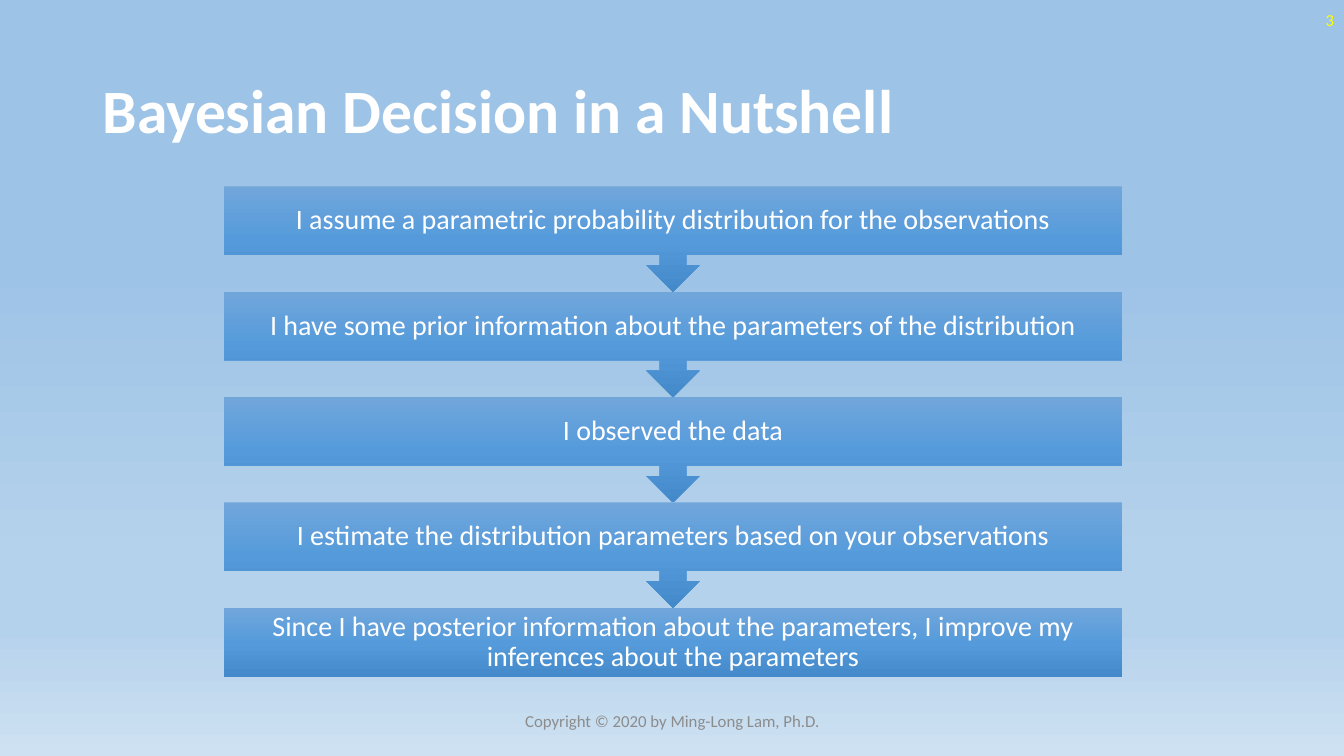
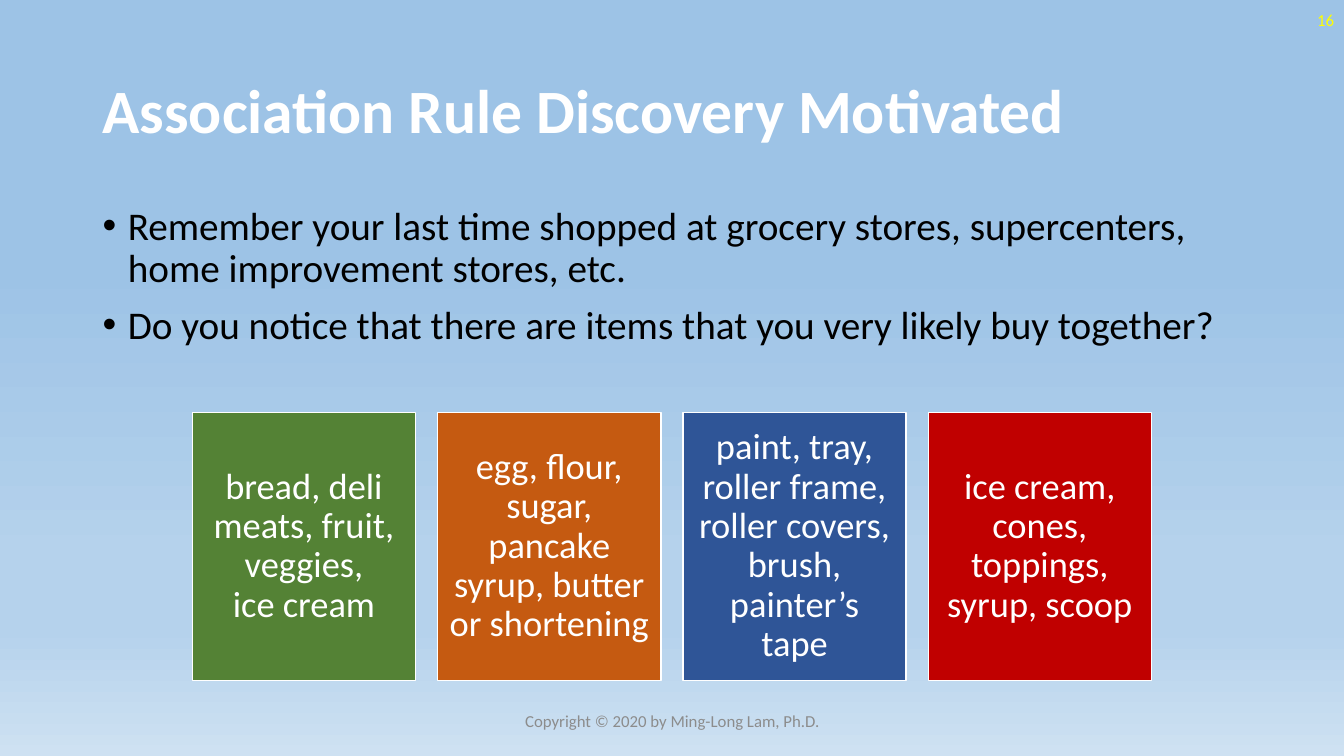
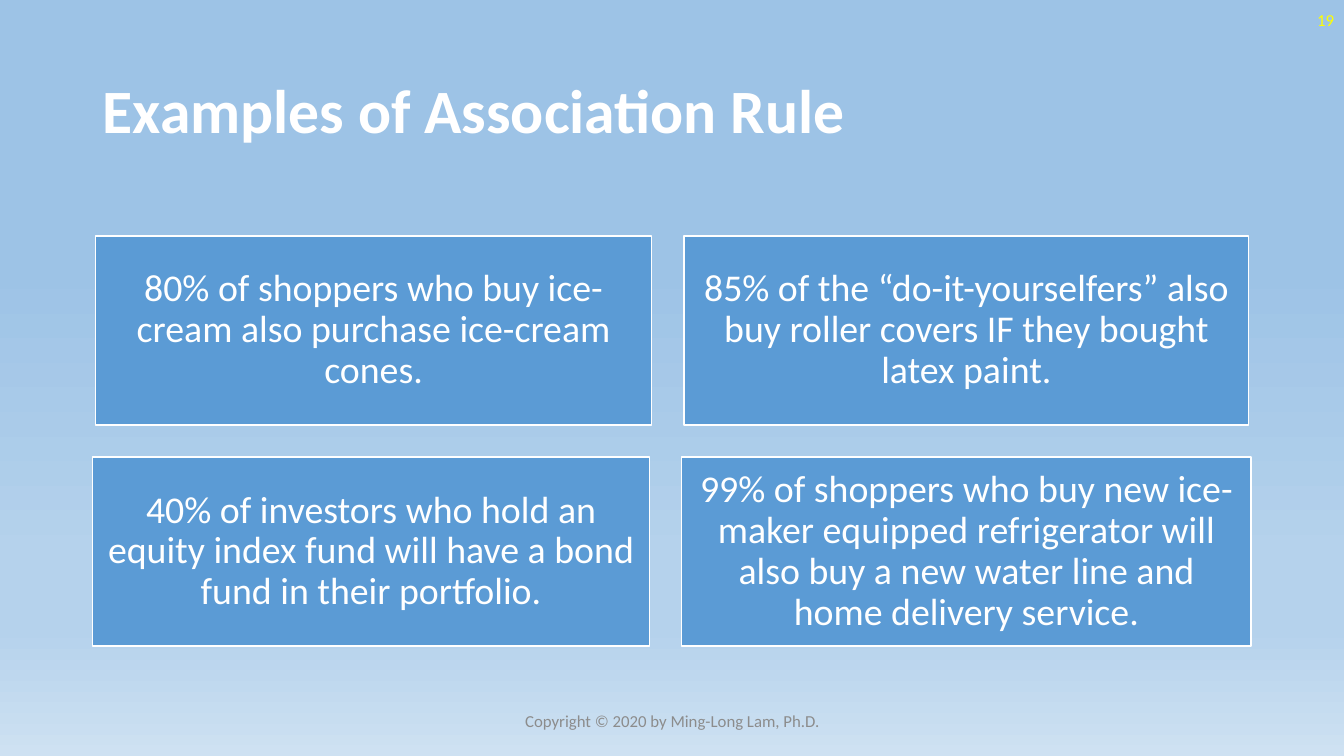
import dataclasses

import lxml.etree
import pptx
import pptx.dml.color
import pptx.enum.shapes
import pptx.enum.text
import pptx.oxml.ns
import pptx.util

ALIGN = pptx.enum.text.PP_ALIGN
ANCHOR = pptx.enum.text.MSO_ANCHOR
SHAPE = pptx.enum.shapes.MSO_SHAPE
qn = pptx.oxml.ns.qn


@dataclasses.dataclass(frozen=True)
class Theme:
    """Colours, type sizes and spacing shared by all slides."""
    font: str = "Calibri"
    white: str = "FFFFFF"
    black: str = "000000"
    number: str = "FFFF00"
    footer: str = "8C8C8C"
    blue: str = "5B9BD5"
    basket_fills: tuple = ("548235", "C55A11", "2F5597", "C00000")
    sky: tuple = ((35, "9DC3E6"), (74, "B5D2EC"), (83, "B5D2EC"), (100, "CEE1F2"))
    step_fill: tuple = ((0, "71A6DB"), (50, "559BDB"), (100, "448ACA"))
    title_size: int = 44
    body_size: int = 28
    example_size: int = 27
    basket_size: int = 26
    step_size: int = 20
    small_size: int = 12
    line_spacing: float = 0.9


@dataclasses.dataclass(frozen=True)
class Box:
    """A rectangle in inches."""
    left: float
    top: float
    width: float
    height: float

    def emu(self):
        """Return the four lengths for python-pptx."""
        return [pptx.util.Inches(v) for v in dataclasses.astuple(self)]

    def columns(self, count, gap):
        """Split into equal columns."""
        width = (self.width - gap * (count - 1)) / count
        return [Box(self.left + i * (width + gap), self.top, width, self.height)
                for i in range(count)]

    def rows(self, count, gap):
        """Split into equal rows."""
        height = (self.height - gap * (count - 1)) / count
        return [Box(self.left, self.top + i * (height + gap), self.width, height)
                for i in range(count)]


THEME = Theme()
PAGE = Box(0, 0, 13.33, 7.5)
TITLE = Box(0.92, 0.4, 11.5, 1.45)
BODY = Box(0.92, 2, 11.5, 4.76)
NUMBER = Box(10.33, 0, 3, 0.4)
FOOTER = Box(4.42, 6.95, 4.5, 0.4)
STEPS = Box(2.22, 1.85, 8.91, 4.87)
BASKETS = Box(1.91, 4.09, 9.51, 2.66)
EXAMPLES = Box(0.92, 2.34, 11.49, 4.07)
COPYRIGHT = "Copyright © 2020 by Ming-Long Lam, Ph.D."


def rgb(value):
    """Turn RRGGBB into a colour."""
    return pptx.dml.color.RGBColor.from_string(value)


def paint_gradient(fill, element, stops):
    """Give a fill a top-to-bottom gradient with any number of stops."""
    fill.gradient()
    fill.gradient_angle = 270
    stop_list = element.find(".//" + qn("a:gsLst"))
    for old_stop in list(stop_list):
        stop_list.remove(old_stop)
    for percent, colour in stops:
        stop = lxml.etree.SubElement(stop_list, qn("a:gs"), pos=str(percent * 1000))
        lxml.etree.SubElement(stop, qn("a:srgbClr"), val=colour)


def write(shape, text, size, colour, align=ALIGN.LEFT, anchor=ANCHOR.MIDDLE,
          bold=False, inset=None, spacing=None):
    """Set and format the text of a shape."""
    frame = shape.text_frame
    frame.text = text
    frame.word_wrap = True
    frame.vertical_anchor = anchor
    if inset is not None:
        frame.margin_left = frame.margin_right = pptx.util.Inches(inset)
        frame.margin_top = frame.margin_bottom = pptx.util.Inches(inset)
    for paragraph in frame.paragraphs:
        paragraph.alignment = align
        paragraph.line_spacing = spacing
        for run in paragraph.runs:
            run.font.name = THEME.font
            run.font.size = pptx.util.Pt(size)
            run.font.bold = bold
            run.font.color.rgb = rgb(colour)
    return frame


def add_label(slide, box, text, size, colour, **style):
    """Add a text box."""
    return write(slide.shapes.add_textbox(*box.emu()), text, size, colour, **style)


def add_tile(slide, box, text, size, inset, kind=SHAPE.RECTANGLE):
    """Add a preset shape with centred white text."""
    tile = slide.shapes.add_shape(kind, *box.emu())
    tile.shadow.inherit = False
    write(tile, text, size, THEME.white, align=ALIGN.CENTER, inset=inset,
          spacing=THEME.line_spacing)
    return tile


def add_flat_tile(slide, box, text, size, colour):
    """Add a solid tile with a thin white outline."""
    tile = add_tile(slide, box, text, size, 0.11)
    tile.fill.solid()
    tile.fill.fore_color.rgb = rgb(colour)
    tile.line.color.rgb = rgb(THEME.white)
    tile.line.width = pptx.util.Pt(1)


def add_page(deck, title, number):
    """Add a slide with background, title, number and footer."""
    slide = deck.slides.add_slide(deck.slide_layouts[6])
    paint_gradient(slide.background.fill, slide.element, THEME.sky)
    add_label(slide, TITLE, title, THEME.title_size, THEME.white, bold=True,
              spacing=THEME.line_spacing)
    add_label(slide, NUMBER, str(number), THEME.small_size, THEME.number,
              align=ALIGN.RIGHT)
    add_label(slide, FOOTER, COPYRIGHT, THEME.small_size, THEME.footer,
              align=ALIGN.CENTER)
    return slide


def add_steps(slide, box, steps, last_height=0.69):
    """Stack arrow callouts that end in a plain rectangle."""
    pitch = (box.height - last_height) / (len(steps) - 1)
    for i, text in enumerate(steps):
        is_last = i == len(steps) - 1
        place = Box(box.left, box.top + i * pitch, box.width,
                    last_height if is_last else pitch)
        kind = SHAPE.RECTANGLE if is_last else SHAPE.DOWN_ARROW_CALLOUT
        step = add_tile(slide, place, text, THEME.step_size, 0.16, kind)
        paint_gradient(step.fill, step.element, THEME.step_fill)
        step.line.fill.background()


def add_bullets(slide, box, points):
    """Add a bulleted list."""
    frame = add_label(slide, box, "\n".join(points), THEME.body_size, THEME.black,
                      anchor=ANCHOR.TOP, spacing=THEME.line_spacing)
    indent = pptx.util.Inches(0.25)
    for paragraph in frame.paragraphs:
        paragraph.space_before = pptx.util.Pt(10)
        props = paragraph._p.get_or_add_pPr()
        props.set("marL", str(indent))
        props.set("indent", str(-indent))
        lxml.etree.SubElement(props, qn("a:buFont"), typeface="Arial")
        lxml.etree.SubElement(props, qn("a:buChar"), char="•")


def add_baskets(slide, box, baskets):
    """Set shopping baskets side by side, one colour each."""
    places = box.columns(len(baskets), 0.22)
    for place, text, colour in zip(places, baskets, THEME.basket_fills):
        add_flat_tile(slide, place, text, THEME.basket_size, colour)


def add_examples(slide, box, rows, gap=0.32):
    """Set rows of examples, each row centred in the box."""
    for place, row in zip(box.rows(len(rows), gap), rows):
        total = sum(width for width, _ in row) + gap * (len(row) - 1)
        left = place.left + (place.width - total) / 2
        for width, text in row:
            add_flat_tile(slide, Box(left, place.top, width, place.height), text,
                          THEME.example_size, THEME.blue)
            left += width + gap


def main():
    """Build and save the deck."""
    deck = pptx.Presentation()
    deck.slide_width = pptx.util.Inches(PAGE.width)
    deck.slide_height = pptx.util.Inches(PAGE.height)

    add_steps(add_page(deck, "Bayesian Decision in a Nutshell", 3), STEPS, [
        "I assume a parametric probability distribution for the observations",
        "I have some prior information about the parameters of the distribution",
        "I observed the data",
        "I estimate the distribution parameters based on your observations",
        "Since I have posterior information about the parameters, I improve my "
        "inferences about the parameters",
    ])

    motivation = add_page(deck, "Association Rule Discovery Motivated", 16)
    add_bullets(motivation, BODY, [
        "Remember your last time shopped at grocery stores, supercenters, "
        "home improvement stores, etc.",
        "Do you notice that there are items that you very likely buy together?",
    ])
    add_baskets(motivation, BASKETS, [
        "bread, deli meats, fruit, veggies,\vice cream",
        "egg, flour, sugar, pancake syrup, butter or shortening",
        "paint, tray, roller frame, roller covers, brush, painter’s tape",
        "ice cream, cones, toppings, syrup, scoop",
    ])

    add_examples(add_page(deck, "Examples of Association Rule", 19), EXAMPLES, [
        [(5.52, "80% of shoppers who buy ice-cream also purchase ice-cream cones."),
         (5.6, "85% of the “do-it-yourselfers” also buy roller covers IF they "
               "bought latex paint.")],
        [(5.52, "40% of investors who hold an equity index fund will have a bond "
                "fund in their portfolio."),
         (5.65, "99% of shoppers who buy new ice-maker equipped refrigerator will "
                "also buy a new water line and home delivery service.")],
    ])
    deck.save("out.pptx")


if __name__ == "__main__":
    main()
